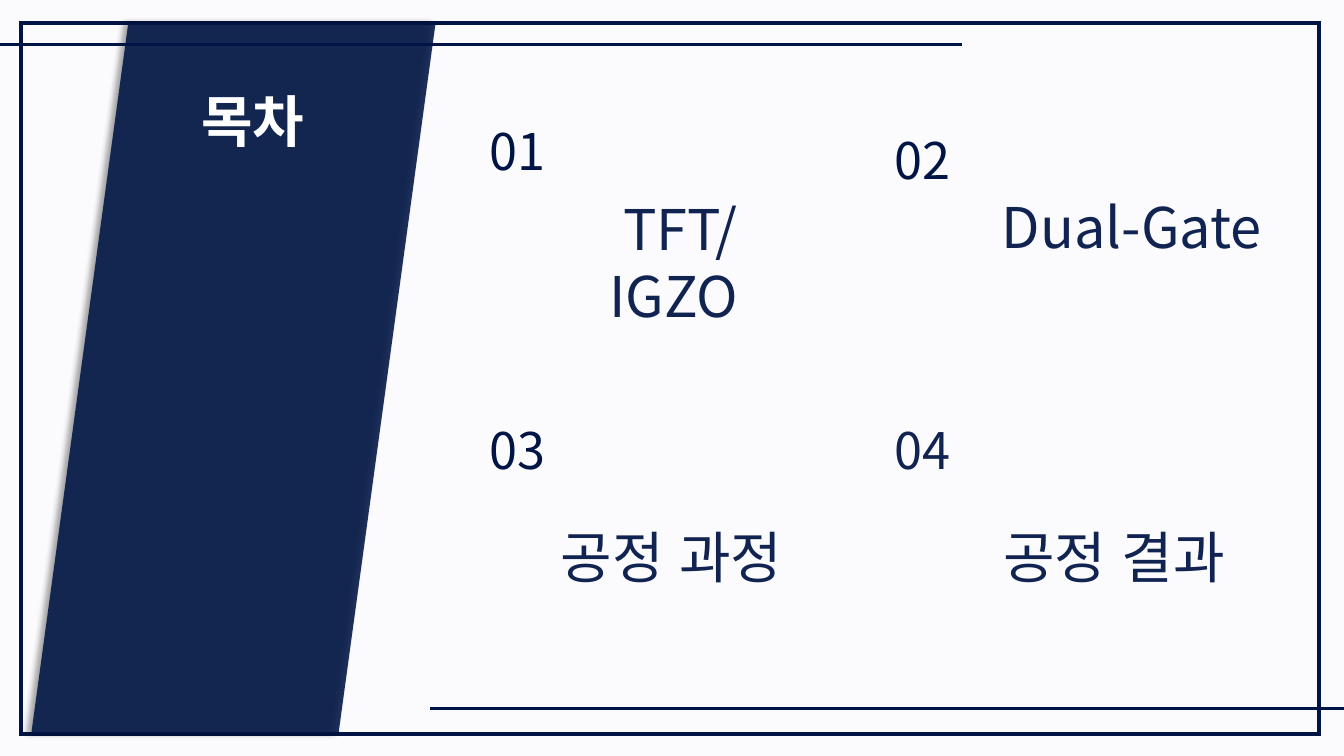
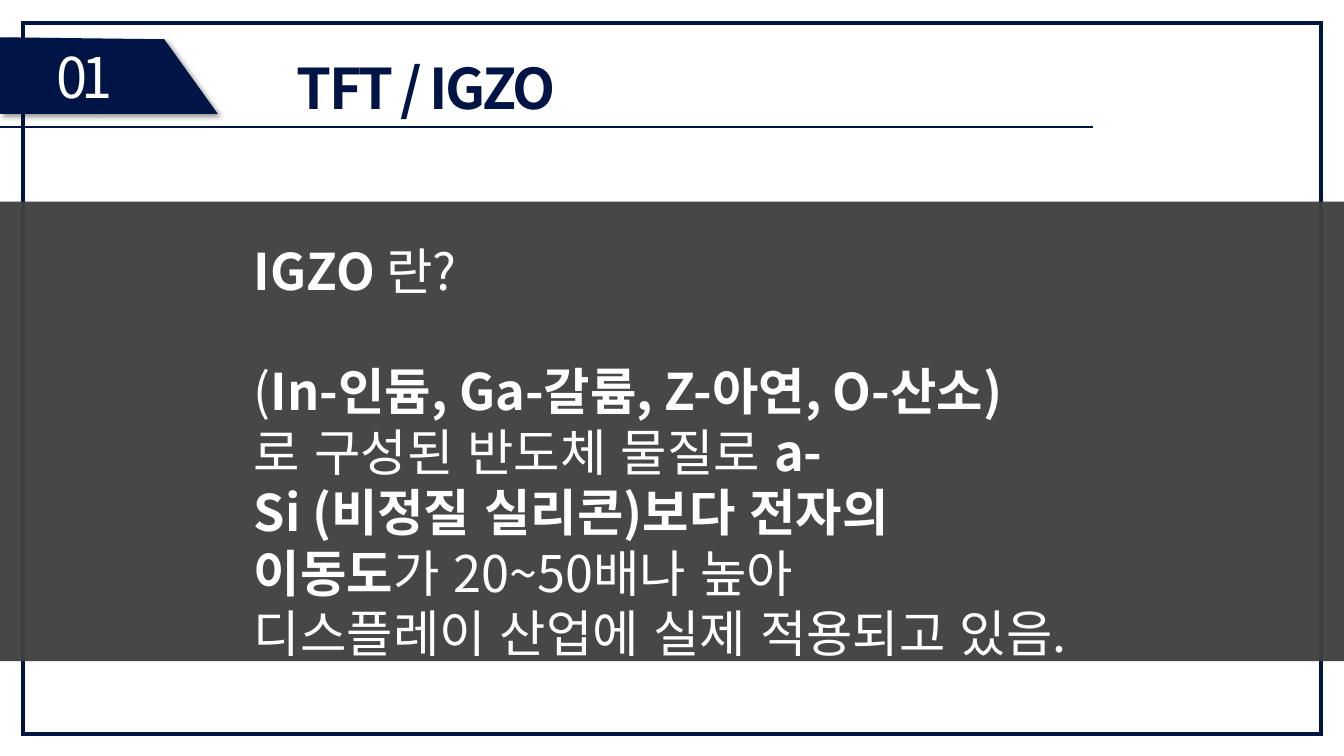
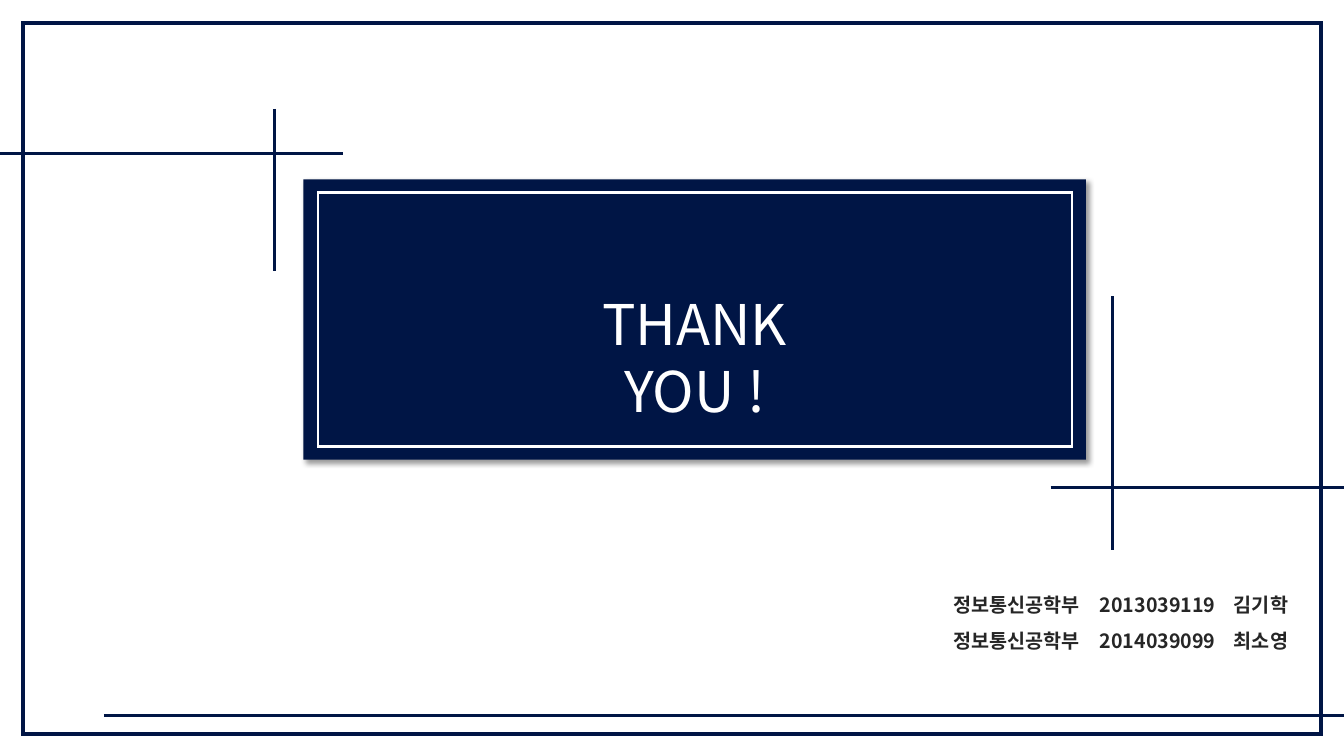
from dataclasses import dataclass
from typing import Optional

from lxml.etree import SubElement
from pptx import Presentation
from pptx.dml.color import RGBColor
from pptx.enum.lang import MSO_LANGUAGE_ID
from pptx.enum.shapes import MSO_CONNECTOR, MSO_SHAPE
from pptx.enum.text import MSO_AUTO_SIZE, PP_ALIGN
from pptx.oxml.ns import qn
from pptx.util import Inches, Pt

FONT = "Noto Sans CJK KR"
NAVY = "001545"
SOFT_NAVY = "112351"
WHITE = "FFFFFF"
PALE = "FBFBFD"
GRAY = "404040"
DARK = "262626"
WIDTH, HEIGHT = 13.33, 7.5
HARD_SPACE_MARK, HARD_SPACE = "_", chr(160)


@dataclass(frozen=True)
class Box:
    left: float
    top: float
    width: float
    height: float

    def lengths(self) -> tuple:
        return tuple(Inches(v) for v in (self.left, self.top, self.width, self.height))


@dataclass(frozen=True)
class Style:
    size: float
    color: str
    bold: bool = False
    spacing: float = 0
    align: PP_ALIGN = PP_ALIGN.CENTER
    line_spacing: Optional[float] = None
    space_before: float = 0
    tabs: tuple[float, ...] = ()


@dataclass(frozen=True)
class Span:
    text: str
    bold: bool = False


@dataclass(frozen=True)
class Rule:
    x1: float
    y1: float
    x2: float
    y2: float


@dataclass(frozen=True)
class Label:
    box: Box
    lines: tuple[str, ...]
    style: Style


NUMBER = Style(36, NAVY)
TOPIC = Style(40, SOFT_NAVY)
KOREAN_TOPIC = Style(40, SOFT_NAVY, line_spacing=1.5)
FRAME = Box(0.23, 0.23, 12.87, 7.05)

AGENDA = (
    Label(Box(1.29, 0.81, 2.43, 0.77), ("목차",), Style(40, WHITE, bold=True)),
    Label(Box(4.01, 1.14, 2.25, 0.71), ("01",), NUMBER),
    Label(Box(8.02, 1.23, 2.25, 0.71), ("02",), NUMBER),
    Label(Box(4.01, 4.11, 2.25, 0.71), ("03",), NUMBER),
    Label(Box(8.02, 4.11, 2.25, 0.71), ("04",), Style(36, SOFT_NAVY)),
    Label(Box(5.51, 1.88, 2.35, 1.45), (" TFT/", "IGZO"), TOPIC),
    Label(Box(9.38, 1.86, 3.69, 1.16), ("Dual-Gate",), TOPIC),
    Label(Box(4.32, 4.8, 4.68, 1.03), ("공정 과정",), KOREAN_TOPIC),
    Label(Box(8.71, 4.8, 4.68, 1.03), ("공정 결과",), KOREAN_TOPIC),
)

IGZO_TEXT = (
    (Span("IGZO", True), Span("_란?")),
    (
        Span("("),
        Span("In-인듐, Ga-갈륨, Z-아연, O-산소)", True),
        Span("로_구성된_반도체_물질로 "),
        Span("a-Si_(비정질_실리콘)보다 전자의 이동도", True),
        Span("가_20~50배나_높아 디스플레이_산업에 실제_적용되고 있음."),
    ),
)

CLOSING_RULES = (
    Rule(0, 1.52, 3.4, 1.52),
    Rule(1.03, 7.1, WIDTH, 7.1),
    Rule(10.42, 4.84, WIDTH, 4.84),
    Rule(2.72, 1.08, 2.72, 2.69),
    Rule(11.03, 2.94, 11.03, 5.46),
)


def rgb(color: str) -> RGBColor:
    return RGBColor.from_string(color)


def add_slide(presentation, background: str):
    slide = presentation.slides.add_slide(presentation.slide_layouts[6])
    slide.background.fill.solid()
    slide.background.fill.fore_color.rgb = rgb(background)
    return slide


def paint(shape, fill: Optional[str] = None, line: Optional[str] = None,
          line_width: float = 3, opacity: int = 100,
          shadow_angle: Optional[int] = None) -> None:
    shape.shadow.inherit = False
    if fill:
        shape.fill.solid()
        shape.fill.fore_color.rgb = rgb(fill)
        if opacity < 100:
            color = shape._element.spPr.find(qn("a:solidFill")).find(qn("a:srgbClr"))
            SubElement(color, qn("a:alpha"), val=str(opacity * 1000))
    else:
        shape.fill.background()
    if line:
        shape.line.color.rgb = rgb(line)
        shape.line.width = Pt(line_width)
        SubElement(shape._element.spPr.find(qn("a:ln")), qn("a:miter"), lim="800000")
    else:
        shape.line.fill.background()
    if shadow_angle is not None:
        effects = shape._element.spPr.find(qn("a:effectLst"))
        shadow = SubElement(effects, qn("a:outerShdw"), blurRad=str(Pt(4)),
                            dist=str(Pt(3)), dir=str(shadow_angle * 60000),
                            rotWithShape="0")
        color = SubElement(shadow, qn("a:srgbClr"), val="000000")
        SubElement(color, qn("a:alpha"), val="40000")


def add_rectangle(slide, box: Box, **look) -> None:
    paint(slide.shapes.add_shape(MSO_SHAPE.RECTANGLE, *box.lengths()), **look)


def add_frame(slide, box: Box = FRAME) -> None:
    add_rectangle(slide, box, line=NAVY)


def add_rule(slide, rule: Rule) -> None:
    ends = (Inches(v) for v in (rule.x1, rule.y1, rule.x2, rule.y2))
    connector = slide.shapes.add_connector(MSO_CONNECTOR.STRAIGHT, *ends)
    connector.line.color.rgb = rgb(NAVY)
    connector.line.width = Pt(2)
    SubElement(connector._element.spPr, qn("a:effectLst"))


def add_run(paragraph, span: Span, style: Style) -> None:
    run = paragraph.add_run()
    run.text = span.text.replace(HARD_SPACE_MARK, HARD_SPACE)
    run.font.size = Pt(style.size)
    run.font.bold = span.bold
    run.font.color.rgb = rgb(style.color)
    run.font.name = FONT
    run.font.language_id = MSO_LANGUAGE_ID.KOREAN
    properties = run._r.get_or_add_rPr()
    SubElement(properties, qn("a:ea"), typeface=FONT)
    if style.spacing:
        properties.set("spc", str(int(style.spacing * 100)))


def add_text(slide, box: Box, paragraphs: tuple[tuple[Span, ...], ...],
             style: Style) -> None:
    frame = slide.shapes.add_textbox(*box.lengths()).text_frame
    frame.word_wrap = True
    frame.auto_size = MSO_AUTO_SIZE.SHAPE_TO_FIT_TEXT
    for index, spans in enumerate(paragraphs):
        paragraph = frame.add_paragraph() if index else frame.paragraphs[0]
        paragraph.alignment = style.align
        if style.line_spacing:
            paragraph.line_spacing = style.line_spacing
        if index and style.space_before:
            paragraph.space_before = Pt(style.space_before)
        if style.tabs:
            tabs = SubElement(paragraph._p.get_or_add_pPr(), qn("a:tabLst"))
            for position in style.tabs:
                SubElement(tabs, qn("a:tab"), pos=str(Inches(position)), algn="l")
        for span in spans:
            add_run(paragraph, span, style)


def add_label(slide, label: Label) -> None:
    paragraphs = tuple((Span(line, label.style.bold),) for line in label.lines)
    add_text(slide, label.box, paragraphs, label.style)


def build_agenda(presentation) -> None:
    slide = add_slide(presentation, PALE)
    add_frame(slide, Box(0.21, 0.23, 12.87, 7.05))
    band = slide.shapes.add_shape(MSO_SHAPE.PARALLELOGRAM,
                                  *Box(0.31, 0.23, 4.01, 7.05).lengths())
    band.adjustments[0] = 0.24
    paint(band, fill=NAVY, opacity=88, shadow_angle=180)
    add_rule(slide, Rule(4.27, 7.03, WIDTH, 7.03))
    add_rule(slide, Rule(0, 0.44, 9.54, 0.44))
    for label in AGENDA:
        add_label(slide, label)


def build_igzo(presentation) -> None:
    slide = add_slide(presentation, WHITE)
    add_frame(slide)
    builder = slide.shapes.build_freeform(Inches(0), Inches(0.37))
    corners = ((1.63, 0.39), (2.16, 1.13), (0, 1.13))
    builder.add_line_segments([(Inches(x), Inches(y)) for x, y in corners], close=True)
    paint(builder.convert_to_shape(), fill=NAVY, shadow_angle=45)
    add_rule(slide, Rule(0, 1.26, 10.84, 1.26))
    add_label(slide, Label(Box(0.46, 0.37, 1.24, 0.77), ("01",),
                           Style(40, WHITE, spacing=-4, align=PP_ALIGN.LEFT)))
    add_rectangle(slide, Box(0, 2, WIDTH, 4.56), fill=GRAY, opacity=96)
    add_label(slide, Label(Box(1.56, 0.48, 5.34, 0.77), ("TFT / IGZO",),
                           Style(40, NAVY, bold=True, spacing=-2)))
    add_text(slide, Box(2.42, 2.33, 8.6, 4.04), IGZO_TEXT,
             Style(36, WHITE, align=PP_ALIGN.LEFT, space_before=43))


def build_closing(presentation) -> None:
    slide = add_slide(presentation, WHITE)
    add_frame(slide)
    for rule in CLOSING_RULES:
        add_rule(slide, rule)
    add_rectangle(slide, Box(3.01, 1.78, 7.76, 2.78), fill=NAVY, shadow_angle=45)
    add_rectangle(slide, Box(3.15, 1.91, 7.48, 2.52), line=WHITE, line_width=1.5)
    add_label(slide, Label(Box(5.15, 2.82, 3.48, 0.77), ("THANK YOU !",),
                           Style(40, WHITE)))
    authors = ("정보통신공학부\t2013039119\t김기학",
               "정보통신공학부\t2014039099\t최소영")
    add_label(slide, Label(Box(9.36, 5.72, 3.64, 0.8), authors,
                           Style(14, DARK, bold=True, align=PP_ALIGN.LEFT,
                                 line_spacing=1.5, tabs=(1.45, 2.78))))


def main() -> None:
    presentation = Presentation()
    presentation.slide_width = Inches(WIDTH)
    presentation.slide_height = Inches(HEIGHT)
    build_agenda(presentation)
    build_igzo(presentation)
    build_closing(presentation)
    presentation.save("out.pptx")


if __name__ == "__main__":
    main()
